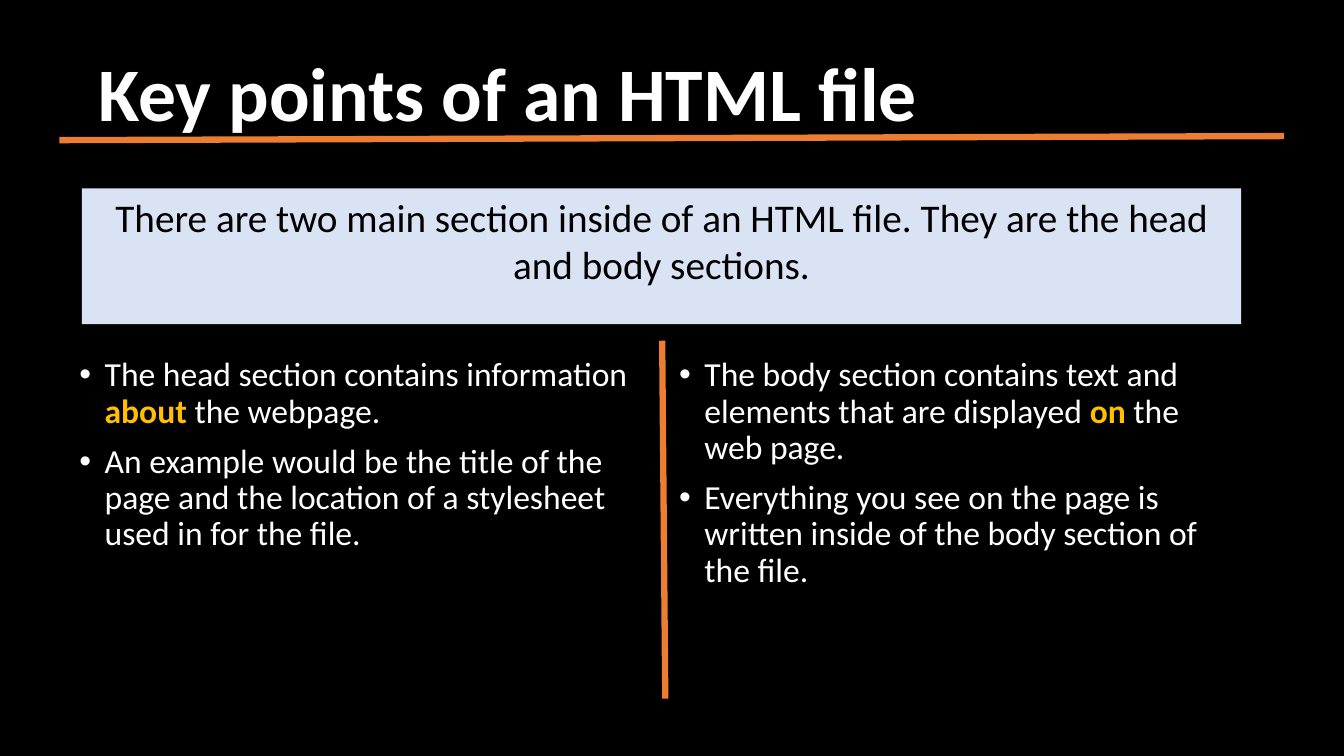
from dataclasses import dataclass

from lxml import etree
from pptx import Presentation
from pptx.dml.color import RGBColor
from pptx.enum.shapes import MSO_CONNECTOR, MSO_SHAPE
from pptx.enum.text import MSO_ANCHOR, PP_ALIGN
from pptx.oxml.ns import qn
from pptx.util import Pt

RECT = MSO_SHAPE.RECTANGLE
LINE = MSO_CONNECTOR.STRAIGHT
TOP, MIDDLE = MSO_ANCHOR.TOP, MSO_ANCHOR.MIDDLE
LEFT, CENTER = PP_ALIGN.LEFT, PP_ALIGN.CENTER

COLORS = {
    "black": "000000",
    "white": "FFFFFF",
    "gold": "FFC000",
    "orange": "ED7D31",
    "pale": "DAE3F3",
}
INDENT = 18  # hanging indent of the bullets


@dataclass
class Run:
    text: str
    color: str = "white"
    bold: bool = False


@dataclass
class Block:
    box: tuple[float, float, float, float]
    paras: list[list[Run]]
    size: float
    fill: str = ""
    bullet: bool = False
    anchor: MSO_ANCHOR = TOP
    align: PP_ALIGN = LEFT
    lead: float = 0.9


@dataclass
class Rule:
    start: tuple[float, float]
    end: tuple[float, float]


def rgb(name: str) -> RGBColor:
    return RGBColor.from_string(COLORS[name])


def apply(target: object, values: dict) -> None:
    for key, value in values.items():
        setattr(target, key, value)


def add_bullet(para) -> None:
    props = para._p.get_or_add_pPr()
    apply_xml = {"marL": INDENT, "indent": -INDENT}
    for key, value in apply_xml.items():
        props.set(key, str(Pt(value)))
    font = etree.SubElement(props, qn("a:buFont"))
    font.set("typeface", "Arial")
    mark = etree.SubElement(props, qn("a:buChar"))
    mark.set("char", "•")


def draw_block(slide, block: Block) -> None:
    box = [Pt(value) for value in block.box]
    if block.fill:
        shape = slide.shapes.add_shape(RECT, *box)
        shape.shadow.inherit = False
        shape.fill.solid()
        shape.fill.fore_color.rgb = rgb(block.fill)
        shape.line.fill.background()
    else:
        shape = slide.shapes.add_textbox(*box)
    frame = shape.text_frame
    apply(frame, {"word_wrap": True, "vertical_anchor": block.anchor})

    for index, runs in enumerate(block.paras):
        para = frame.add_paragraph() if index else frame.paragraphs[0]
        if block.bullet:
            add_bullet(para)
        apply(para, {
            "alignment": block.align,
            "line_spacing": block.lead,
            "space_before": Pt(10 if index else 0),
        })
        for item in runs:
            run = para.add_run()
            run.text = item.text
            apply(run.font, {
                "name": "Calibri", "size": Pt(block.size), "bold": item.bold,
            })
            run.font.color.rgb = rgb(item.color)


def draw_rule(slide, rule: Rule) -> None:
    ends = [Pt(value) for value in rule.start + rule.end]
    line = slide.shapes.add_connector(LINE, *ends)
    line.line.color.rgb = rgb("orange")
    line.line.width = Pt(4.5)
    etree.SubElement(line._element.spPr, qn("a:effectLst"))


# Title, two columns and the banner
BLOCKS = [
    Block((63.4, 0, 789, 138.2),
          [[Run("Key points of an HTML file", bold=True)]],
          54, anchor=MIDDLE),
    Block((49.7, 252, 408.2, 265), [
        [Run("The head section contains information "),
         Run("about", "gold", True),
         Run(" the webpage.")],
        [Run("An example would be the title of the page and the location "
             "of a stylesheet used in for the file.")],
    ], 24, bullet=True),
    Block((478.1, 252, 408.2, 265), [
        [Run("The body section contains text and elements that are "
             "displayed "),
         Run("on", "gold", True),
         Run(" the web page.")],
        [Run("Everything you see on the page is written inside of the "
             "body section of the file.")],
    ], 24, bullet=True),
    Block((58.5, 134.5, 828, 97),
          [[Run("There are two main section inside of an HTML file. They "
                "are the head and body sections.", "black")]],
          28, fill="pale", align=CENTER, lead=1.0),
]

# Column divider and title underline
RULES = [
    Rule((473, 243.4), (475.2, 499)),
    Rule((42.5, 100.1), (917.3, 97.2)),
]


def main() -> None:
    deck = Presentation()
    apply(deck, {"slide_width": Pt(960), "slide_height": Pt(540)})
    slide = deck.slides.add_slide(deck.slide_layouts[6])
    fill = slide.background.fill
    fill.solid()
    fill.fore_color.rgb = rgb("black")

    for block in BLOCKS:
        draw_block(slide, block)
    for rule in RULES:
        draw_rule(slide, rule)
    deck.save("out.pptx")


if __name__ == "__main__":
    main()
